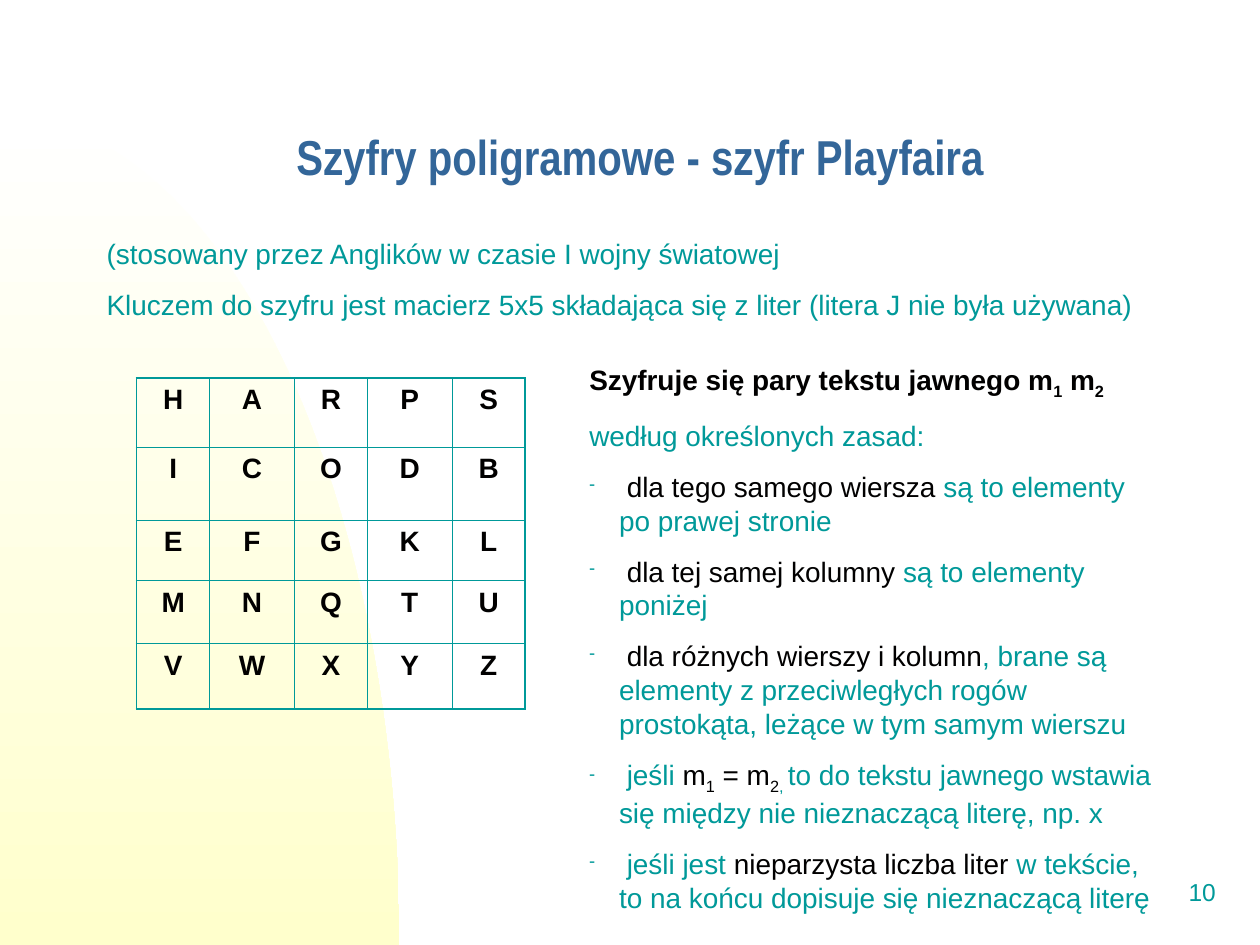
import math

from lxml import etree
from pptx import Presentation
from pptx.dml.color import RGBColor
from pptx.enum.text import MSO_ANCHOR, MSO_AUTO_SIZE, PP_ALIGN
from pptx.oxml.ns import qn
from pptx.util import Cm, Pt

LEFT, CENTER, RIGHT = PP_ALIGN.LEFT, PP_ALIGN.CENTER, PP_ALIGN.RIGHT
MIDDLE = MSO_ANCHOR.MIDDLE
NO_FIT, GROW = MSO_AUTO_SIZE.NONE, MSO_AUTO_SIZE.SHAPE_TO_FIT_TEXT
TEAL, BLACK, BLUE = "009999", "010000", "336699"


def color(hex_string):
    return RGBColor.from_string(hex_string)


def add_text(para, text, font="Arial", size=16, hue=TEAL, bold=False, sub=False):
    span = para.add_run()
    span.text = text
    span.font.name, span.font.size, span.font.bold = font, Pt(size), bold
    span.font.color.rgb = color(hue)
    if sub:
        span.font._element.set("baseline", "-25000")


deck = Presentation()
deck.slide_width, deck.slide_height = Cm(25.4), Cm(19.05)
page = deck.slides.add_slide(deck.slide_layouts[5])
title = page.shapes.title

# Background quarter ellipse, behind the title
curve_width, curve_top, curve_bottom = 8.05, 2.34, 19.05
steps = 60
arc = []
for step in range(steps + 1):
    angle = math.pi / 2 * step / steps
    arc.append((Cm(curve_width * math.sin(angle)),
                Cm(curve_bottom - (curve_bottom - curve_top) * math.cos(angle))))
builder = page.shapes.build_freeform(*arc[0])
builder.add_line_segments(arc[1:] + [(0, Cm(curve_bottom))], close=True)
curve = builder.convert_to_shape()
curve.shadow.inherit = False
curve.line.fill.background()
curve.fill.gradient()
curve.fill.gradient_angle = 270
for stop, hue in zip(curve.fill.gradient_stops, ("FFFFFF", "FFFFCC")):
    stop.color.rgb = color(hue)
title.element.addprevious(curve.element)

# Title
title.left, title.top, title.width, title.height = Cm(5.72), Cm(1.7), Cm(19.05), Cm(3.18)
title.text_frame.auto_size = NO_FIT
title.text_frame.vertical_anchor = MIDDLE
para = title.text_frame.paragraphs[0]
para.alignment, para.line_spacing = LEFT, 0.7
add_text(para, "Szyfry poligramowe - szyfr Playfaira",
         font="Arial Narrow", size=28, hue=BLUE, bold=True)

# Slide number
box = page.shapes.add_textbox(Cm(19.48), Cm(17.35), Cm(5.28), Cm(1.27))
box.text_frame.word_wrap = True
box.text_frame.vertical_anchor = MIDDLE
para = box.text_frame.paragraphs[0]
para.alignment = RIGHT
add_text(para, "10", size=14)

# Introduction and rules: each paragraph is (bulleted, spans)
black, strong = {"hue": BLACK}, {"hue": BLACK, "bold": True}
intro = [
    (False, [("(stosowany przez Anglików w czasie I wojny światowej", {})]),
    (False, [("Kluczem do szyfru jest macierz 5x5 składająca się z liter "
              "(litera J nie była używana)", {})]),
]
rules = [
    (False, [("Szyfruje się pary tekstu jawnego m", strong), ("1", {**strong, "sub": True}),
             (" m", strong), ("2", {**strong, "sub": True})]),
    (False, [("według określonych zasad:", {})]),
    (True, [(" ", {}), ("dla tego samego wiersza", black),
            (" są to elementy po prawej stronie", {})]),
    (True, [(" ", {}), ("dla tej samej kolumny", black), (" są to elementy poniżej", {})]),
    (True, [(" ", {}), ("dla różnych wierszy i kolumn", black),
            (", brane są elementy z przeciwległych rogów prostokąta, "
             "leżące w tym samym wierszu", {})]),
    (True, [(" jeśli ", {}), ("m", black), ("1", {**black, "sub": True}), (" = m", black),
            ("2", {**black, "sub": True}), (", ", {"sub": True}),
            ("to do tekstu jawnego wstawia się między nie nieznaczącą literę, np. x", {})]),
    (True, [(" jeśli jest ", {}), ("nieparzysta liczba liter", black),
            (" w tekście, to na końcu dopisuje się nieznaczącą literę", {})]),
]
for place, paragraphs in (((1.9, 4.65, 22.02, 1.96), intro),
                          ((11.63, 7.19, 12.07, 10.69), rules)):
    box = page.shapes.add_textbox(*map(Cm, place))
    frame = box.text_frame
    frame.word_wrap, frame.auto_size = True, GROW
    for index, (bulleted, spans) in enumerate(paragraphs):
        para = frame.add_paragraph() if index else frame.paragraphs[0]
        if index:
            para.space_before = Pt(10)
        if bulleted:
            props = para._p.get_or_add_pPr()
            props.set("marL", str(Cm(0.6)))
            props.set("indent", str(-Cm(0.6)))
            bullet_color = etree.SubElement(props, qn("a:buClr"))
            etree.SubElement(bullet_color, qn("a:srgbClr"), val=TEAL)
            etree.SubElement(props, qn("a:buSzPct"), val="60000")
            etree.SubElement(props, qn("a:buChar"), char="-")
        for text, style in spans:
            add_text(para, text, **style)

# Key matrix
key_rows = ["HARPS", "ICODB", "EFGKL", "MNQTU", "VWXYZ"]
column_widths = [1.48, 1.7, 1.48, 1.7, 1.48]
row_heights = [1.4, 1.47, 1.22, 1.27, 1.32]
last = len(key_rows) - 1
frame = page.shapes.add_table(len(key_rows), len(column_widths), Cm(2.75), Cm(7.62),
                              Cm(sum(column_widths)), Cm(sum(row_heights)))
matrix = frame.table
matrix.first_row = matrix.horz_banding = False
for column, width in zip(matrix.columns, column_widths):
    column.width = Cm(width)
for row, height in zip(matrix.rows, row_heights):
    row.height = Cm(height)
for row, letters in enumerate(key_rows):
    for column, letter in enumerate(letters):
        cell = matrix.cell(row, column)
        para = cell.text_frame.paragraphs[0]
        para.alignment = CENTER
        add_text(para, letter, **strong)
        # Thicker lines on the outer edge
        props = cell._tc.get_or_add_tcPr()
        edges = (("L", column == 0), ("R", column == last),
                 ("T", row == 0), ("B", row == last))
        for side, outer in edges:
            border = etree.SubElement(props, qn(f"a:ln{side}"), w=str(Pt(1.08 if outer else 0.45)))
            fill = etree.SubElement(border, qn("a:solidFill"))
            etree.SubElement(fill, qn("a:srgbClr"), val=TEAL)
        cell.fill.background()

deck.save("out.pptx")
